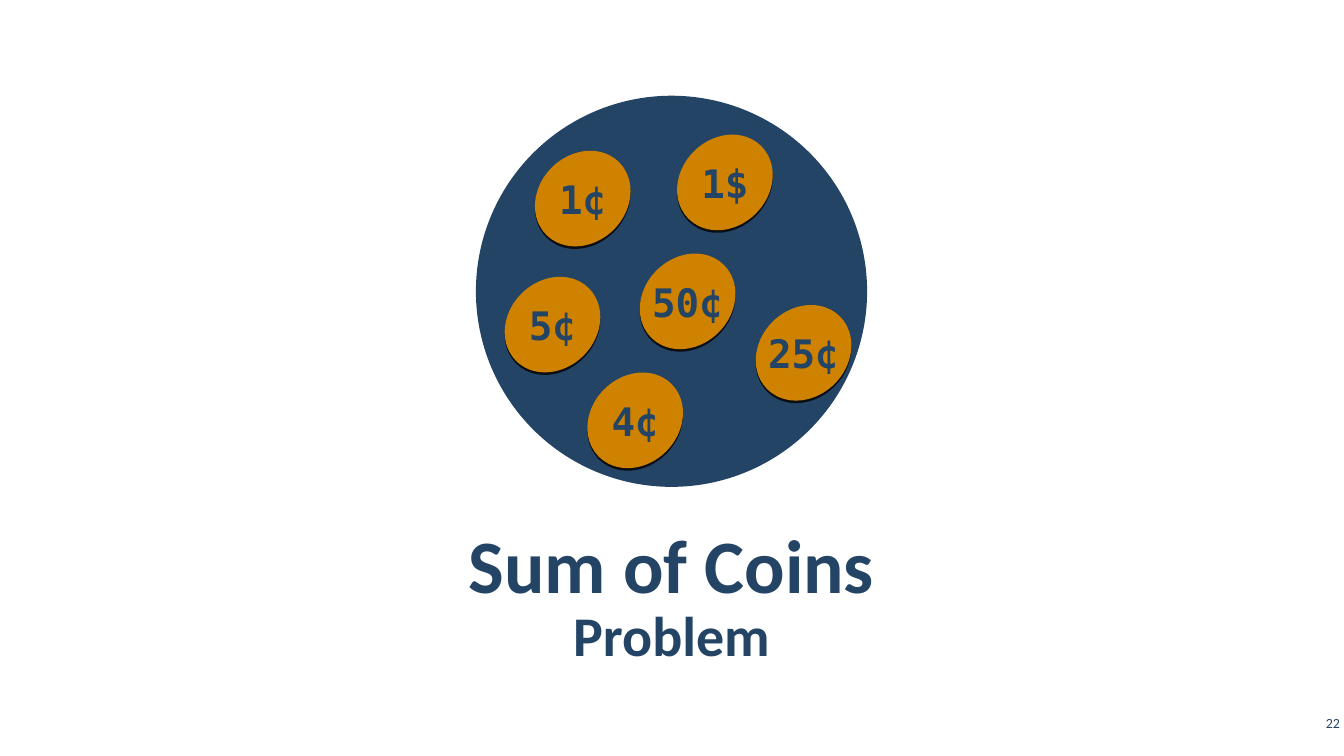
from lxml import etree
from pptx import Presentation
from pptx.dml.color import RGBColor
from pptx.enum.shapes import MSO_SHAPE as Shape
from pptx.enum.text import MSO_ANCHOR as Anchor, PP_ALIGN as Align
from pptx.oxml.ns import qn
from pptx.util import Inches, Pt

NAVY, GOLD, EDGE = "234465", "CF8200", "0A0E14"
COIN_LONG, COIN_SHORT, COIN_TILT = 1.02, 0.87, 45
COINS = [  # value, centre x, centre y
    ("5¢", 5.48, 3.22),
    ("4¢", 6.3, 4.17),
    ("1¢", 5.78, 1.97),
    ("50¢", 6.82, 2.99),
    ("25¢", 7.97, 3.5),
    ("1$", 7.19, 1.81),
]


def color(hex_code):
    return RGBColor.from_string(hex_code)


def write(frame, text, size, font="Calibri", bold=True, align=Align.CENTER,
          margins=(0, 0), spacing=None, around=0, wrap=True):
    """Put one formatted paragraph in a text frame; margins are (side, top)."""
    frame.word_wrap = wrap
    frame.vertical_anchor = Anchor.MIDDLE
    frame.margin_left = frame.margin_right = Inches(margins[0])
    frame.margin_top = frame.margin_bottom = Inches(margins[1])
    paragraph = frame.paragraphs[0]
    paragraph.alignment = align
    paragraph.line_spacing = spacing
    paragraph.space_before = paragraph.space_after = Pt(around)
    run = paragraph.add_run()
    run.text = text
    run.font.name, run.font.size, run.font.bold = font, Pt(size), bold
    run.font.color.rgb = color(NAVY)


class CoinSlide:
    def __init__(self, deck):
        self.slide = deck.slides.add_slide(deck.slide_layouts[6])

    def ellipse(self, left, top, width, height, fill):
        oval = self.slide.shapes.add_shape(
            Shape.OVAL, Inches(left), Inches(top), Inches(width), Inches(height))
        oval.shadow.inherit = False
        oval.fill.solid()
        oval.fill.fore_color.rgb = color(fill)
        oval.line.fill.background()
        return oval

    def coin(self, value, center_x, center_y):
        """Draw a tilted coin with a dark lower edge and upright lettering."""
        coin = self.ellipse(center_x - COIN_LONG / 2, center_y - COIN_SHORT / 2,
                            COIN_LONG, COIN_SHORT, GOLD)
        coin.rotation = -COIN_TILT
        write(coin.text_frame, value, 28, font="DejaVu Sans Mono", wrap=False)
        body = coin.text_frame._txBody.find(qn("a:bodyPr"))
        body.set("rot", str(COIN_TILT * 60000))
        effects = coin._element.spPr.find(qn("a:effectLst"))
        edge = etree.SubElement(effects, qn("a:outerShdw"), blurRad="0",
                                dist=str(Pt(1.8)), dir="5400000", rotWithShape="0")
        etree.SubElement(edge, qn("a:srgbClr"), val=EDGE)

    def label(self, text, left, top, width, height, size, **text_format):
        box = self.slide.shapes.add_textbox(
            Inches(left), Inches(top), Inches(width), Inches(height))
        write(box.text_frame, text, size, **text_format)


def main():
    deck = Presentation()
    deck.slide_width, deck.slide_height = Inches(13.33), Inches(7.5)
    page = CoinSlide(deck)
    page.ellipse(4.72, 0.95, 3.88, 3.88, NAVY)
    heading = dict(margins=(0.12, 0.04), spacing=1.05, around=6)
    page.label("Sum of Coins", 0.67, 5.15, 11.98, 0.84, 53.9, **heading)
    page.label("Problem", 0.67, 6, 11.98, 0.55, 40, **heading)
    page.label("22", 12.86, 7, 0.47, 0.34, 10, bold=False,
               align=Align.RIGHT, margins=(0.04, 0.04))
    for value, center_x, center_y in COINS:
        page.coin(value, center_x, center_y)
    deck.save("out.pptx")


if __name__ == "__main__":
    main()
